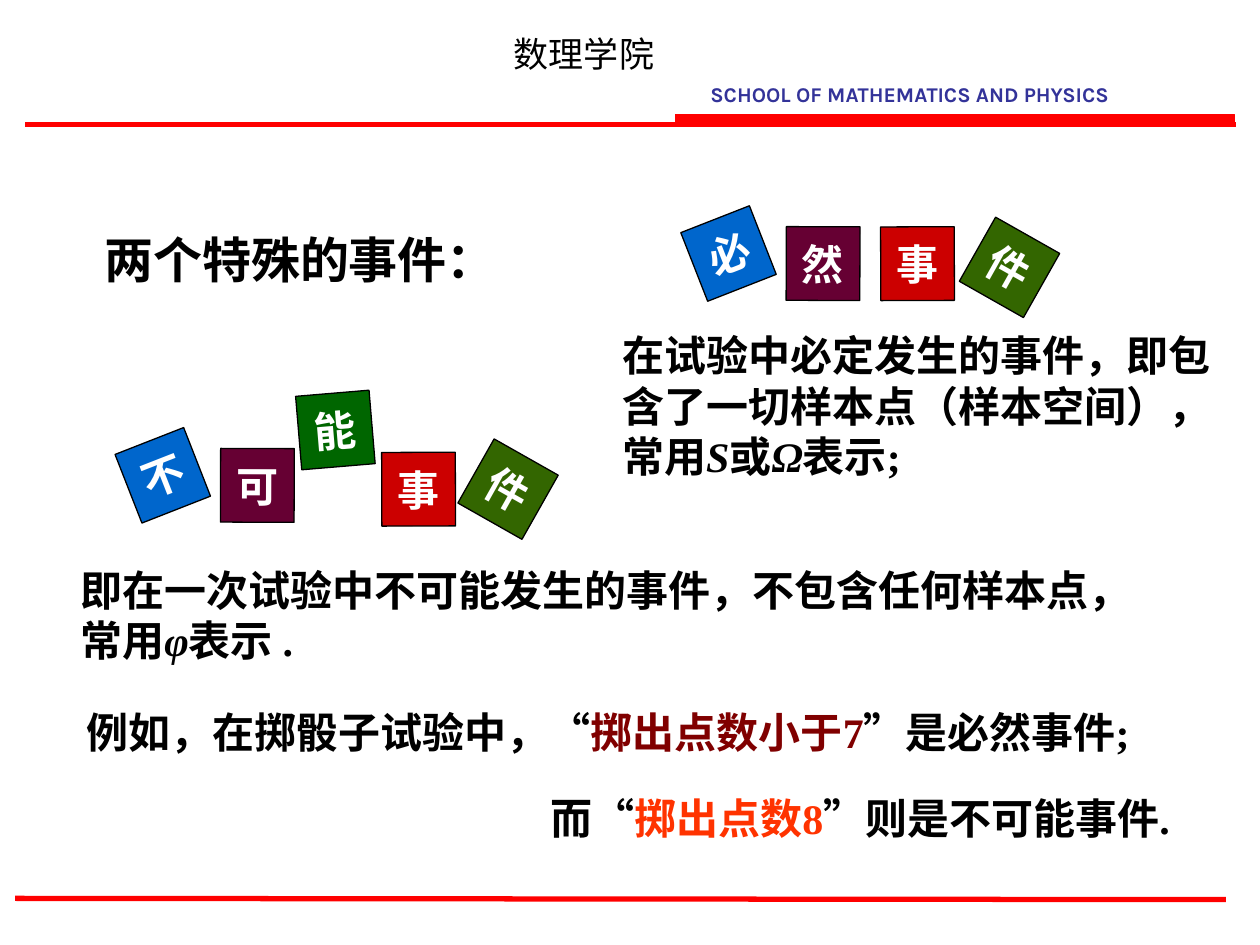
import pptx
import pptx.dml.color
import pptx.enum.lang
import pptx.enum.shapes
import pptx.enum.text
import pptx.oxml
import pptx.oxml.ns
import pptx.util

RGB = pptx.dml.color.RGBColor
BLACK = RGB(0, 0, 0)
WHITE = RGB(255, 255, 255)
RED = RGB(255, 0, 0)
NAVY = RGB(0x33, 0x33, 0x99)
BLUE = RGB(0, 0x66, 0xCC)
PLUM = RGB(0x66, 0, 0x33)
CRIMSON = RGB(0xCC, 0, 0)
OLIVE = RGB(0x33, 0x66, 0)
GREEN = RGB(0, 0x66, 0)
MAROON = RGB(0x80, 0, 0)
ORANGE = RGB(0xFF, 0x33, 0)

HAN = "Noto Sans CJK SC"
SERIF = "Times New Roman"
COLS, ROWS = 100, 75
SIDE = 5.85


class Board:
    """Holds the style and the current slide, placed on a grid of 100 by 75."""

    def __init__(self, deck):
        self.slide = deck.slides.add_slide(deck.slide_layouts[6])
        self.shapes = self.slide.shapes
        self.col = deck.slide_width / COLS
        self.row = deck.slide_height / ROWS

    def area(self, x, y, w, h):
        return [round(n) for n in (x * self.col, y * self.row, w * self.col, h * self.row)]

    def style(self, run, color=BLACK, size=24, face=SERIF, bold=True, italic=False):
        font = run.font
        font.size = pptx.util.Pt(size)
        font.bold, font.italic = bold, italic
        font.name = face
        font.color.rgb = color
        font.language_id = pptx.enum.lang.MSO_LANGUAGE_ID.SIMPLIFIED_CHINESE
        east = pptx.oxml.parse_xml(f'<a:ea {pptx.oxml.ns.nsdecls("a")} typeface="{HAN}"/>')
        font._element.find(pptx.oxml.ns.qn("a:latin")).addnext(east)

    def rule(self, x, y, end, drop=0):
        left, top, right, low = self.area(x, y, end, y + drop)
        line = self.shapes.add_connector(
            pptx.enum.shapes.MSO_CONNECTOR.STRAIGHT, left, top, right, low)
        line.line.color.rgb = RED
        line.line.width = pptx.util.Pt(3)
        line._element.spPr.append(
            pptx.oxml.parse_xml(f'<a:effectLst {pptx.oxml.ns.nsdecls("a")}/>'))

    def rect(self, x, y, w, h, fill, edge):
        box = self.shapes.add_shape(
            pptx.enum.shapes.MSO_SHAPE.RECTANGLE, *self.area(x, y, w, h))
        box.shadow.inherit = False
        box.fill.solid()
        box.fill.fore_color.rgb = fill
        box.line.color.rgb = edge
        box.line.width = pptx.util.Pt(0.75)
        return box

    def tile(self, word, x, y, turn, fill):
        box = self.rect(x, y, SIDE, SIDE, fill, BLACK)
        box.rotation = turn
        frame = box.text_frame
        frame.word_wrap = False
        frame.vertical_anchor = pptx.enum.text.MSO_ANCHOR.MIDDLE
        frame.text = word
        para = frame.paragraphs[0]
        para.alignment = pptx.enum.text.PP_ALIGN.CENTER
        self.style(para.runs[0], WHITE)

    def text(self, x, y, w, h, *lines, wrap=True, middle=False, center=False, pitch=None):
        frame = self.shapes.add_textbox(*self.area(x, y, w, h)).text_frame
        frame.word_wrap = wrap
        if middle:
            frame.vertical_anchor = pptx.enum.text.MSO_ANCHOR.MIDDLE
        for i, line in enumerate(lines):
            para = frame.add_paragraph() if i else frame.paragraphs[0]
            para.line_spacing = pitch
            if center:
                para.alignment = pptx.enum.text.PP_ALIGN.CENTER
            for words, look in line:
                run = para.add_run()
                run.text = words
                self.style(run, **look)


def main():
    deck = pptx.Presentation()
    deck.slide_width = pptx.util.Inches(10)
    deck.slide_height = pptx.util.Inches(7.5)
    board = Board(deck)
    plain, slant = {}, {"italic": True}

    board.rule(2, 9.9, 98.1)
    board.rect(53.6, 9.1, 44.4, 0.8, RED, RED)
    board.rule(1.2, 71.3, 97.3, 0.1)
    board.text(39.8, 2.1, 13.1, 4.4,
               [("数理学院", {"size": 20, "face": HAN, "bold": False})],
               wrap=False, center=True)
    board.text(55.4, 6, 35.7, 3,
               [("SCHOOL OF MATHEMATICS AND PHYSICS",
                 {"size": 12, "face": "Karla", "color": NAVY})], wrap=False)
    board.text(7.3, 17.7, 60.8, 5.7, [("两个特殊的事件：", {"size": 28})], middle=True)

    for tile in (
        ("必", 54.9, 17.2, 338.6, BLUE),
        ("件", 77.2, 18.3, 29.5, OLIVE),
        ("然", 62.4, 18, 0.2, PLUM),
        ("事", 69.9, 18, 359.8, CRIMSON),
        ("不", 10, 34.8, 338.6, BLUE),
        ("件", 37.4, 35.9, 29.5, OLIVE),
        ("可", 17.5, 35.6, 0.2, PLUM),
        ("事", 30.3, 35.9, 359.8, CRIMSON),
        ("能", 23.7, 31.2, 355.2, GREEN),
    ):
        board.tile(*tile)

    board.text(48.4, 25.7, 50.6, 13,
               [("在试验中必定发生的事件，即包含了一切样本点（样本空间），常用", plain),
                ("S", slant), ("或", plain), ("Ω", slant), ("表示;", plain)])
    board.text(5.4, 44.3, 85.3, 9,
               [("即在一次试验中不可能发生的事件，不包含任何样本点，", plain)],
               [("常用", plain), ("φ", slant), ("表示 .", plain)], wrap=False)
    board.text(5.9, 54.8, 85.9, 5.8,
               [("例如，在掷骰子试验中，“", plain),
                ("掷出点数小于7", {"color": MAROON}), ("”是必然事件;", plain)], pitch=1.2)
    board.text(42.7, 62.4, 51.7, 5,
               [("而“", plain), ("掷出点数8", {"color": ORANGE}),
                ("”则是不可能事件.", plain)])
    deck.save("out.pptx")


if __name__ == "__main__":
    main()
